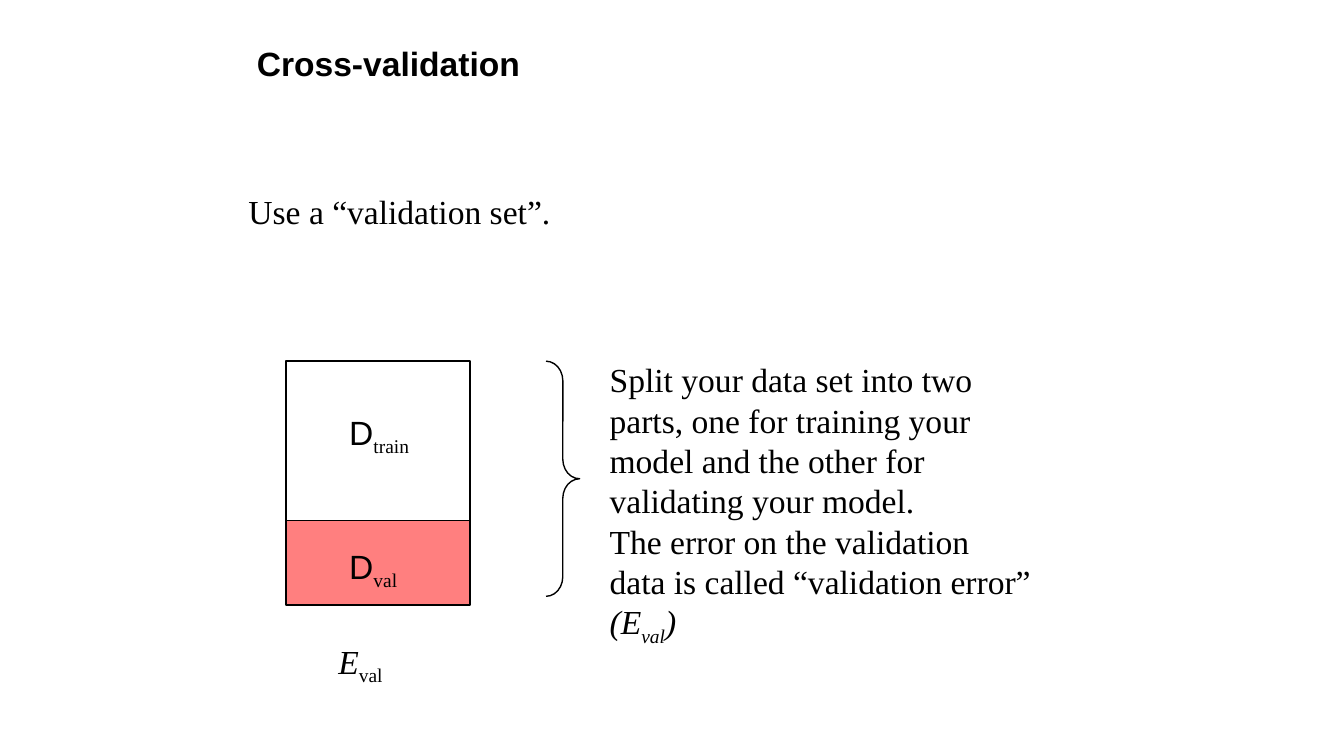
from lxml.etree import SubElement
from pptx import Presentation
from pptx.dml.color import RGBColor
from pptx.enum.shapes import MSO_CONNECTOR as Connector, MSO_SHAPE as Shape
from pptx.enum.text import MSO_ANCHOR as Anchor
from pptx.oxml.ns import qn
from pptx.util import Emu, Inches, Pt

COLORS = {"ink": "000000", "validation": "FF0000"}
SANS, SERIF = "Arial", "Times New Roman"
UNIT = Inches(1 / 16)  # grid of 160 columns by 90 rows
COLUMNS, ROWS = 160, 90


def grid(*cells):
    return [Emu(round(cell * UNIT)) for cell in cells]


def color(name):
    return RGBColor.from_string(COLORS[name])


def add_run(paragraph, text, font=SERIF, bold=False, italic=False, subscript=False):
    run = paragraph.add_run()
    run.text = text
    run.font.name, run.font.size = font, Pt(18)
    run.font.bold, run.font.italic = bold, italic
    run.font.color.rgb = color("ink")
    if subscript:
        run.font._element.set("baseline", "-25000")


def add_text(slide, box, lines, anchor=Anchor.TOP):
    """Each line is a list of (text, run style) pairs."""
    frame = slide.shapes.add_textbox(*grid(*box)).text_frame
    frame.word_wrap = True
    frame.vertical_anchor = anchor
    for index, runs in enumerate(lines):
        paragraph = frame.add_paragraph() if index else frame.paragraphs[0]
        for text, style in runs:
            add_run(paragraph, text, **style)
    return frame


def add_outline(slide, kind, box, width):
    shape = slide.shapes.add_shape(kind, *grid(*box))
    shape.shadow.inherit = False
    shape.fill.background()
    shape.line.color.rgb = color("ink")
    shape.line.width = Pt(width)
    return shape


def add_heading(slide, box):
    add_text(slide, box, [[("Cross-validation", {"font": SANS, "bold": True})]], Anchor.MIDDLE)


def add_lead(slide, box):
    frame = add_text(slide, box, [[("Use a “validation set”.", {})]])
    properties = frame.paragraphs[0]._p.get_or_add_pPr()
    properties.set("marL", str(Inches(0.28)))
    properties.set("indent", str(-Inches(0.28)))


def add_data_split(slide, box):
    left, top, width, height = box
    split = top + 19
    bottom = top + height

    # Validation part, half transparent
    validation = add_outline(slide, Shape.RECTANGLE, (left, split, width, bottom - split), 0.75)
    validation.fill.solid()
    validation.fill.fore_color.rgb = color("validation")
    fill_color = validation._element.spPr.find(qn("a:solidFill"))[0]
    SubElement(fill_color, qn("a:alpha")).set("val", "50000")

    # Whole data set and dividing line
    add_outline(slide, Shape.RECTANGLE, box, 1)
    divider = slide.shapes.add_connector(
        Connector.STRAIGHT, *grid(left, split, left + width, split))
    divider.line.color.rgb = color("ink")
    divider.line.width = Pt(0.75)
    SubElement(divider._element.spPr, qn("a:effectLst"))

    # Symbols with subscripts: offset from the box, width, letter style
    upright, slanted = {"font": SANS}, {"italic": True}
    for symbol, subscript, style, across, down, label_width in (
        ("D", "train", upright, 6, 5.2, 11),
        ("D", "val", upright, 6, 21.2, 9.5),
        ("E", "val", slanted, 4.7, 32.5, 9),
    ):
        add_text(slide, (left + across, top + down, label_width, 6.4),
                 [[(symbol, style), (subscript, {"subscript": True})]])


def add_explanation(slide, box):
    left, top, width, height = box
    brace = add_outline(slide, Shape.RIGHT_BRACE, (left, top + 1, 4, 28), 0.75)
    brace.adjustments[0], brace.adjustments[1] = 0.583, 0.5

    lines = [[(text, {})] for text in (
        "Split your data set into two",
        "parts, one for training your",
        "model and the other for",
        "validating your model.",
        "The error on the validation",
        "data is called “validation error”",
    )]
    lines.append([("(E", {"italic": True}),
                  ("val", {"italic": True, "subscript": True}),
                  (")", {"italic": True})])
    add_text(slide, (left + 6, top, width - 6, height), lines)


def main():
    presentation = Presentation()
    presentation.slide_width, presentation.slide_height = grid(COLUMNS, ROWS)
    slide = presentation.slides.add_slide(presentation.slide_layouts[6])
    add_heading(slide, (29, 3, 102, 9))
    add_lead(slide, (28, 22, 102, 10))
    add_data_split(slide, (34, 43, 22, 29))
    add_explanation(slide, (65, 42, 60, 35.5))
    presentation.save("out.pptx")


if __name__ == "__main__":
    main()
